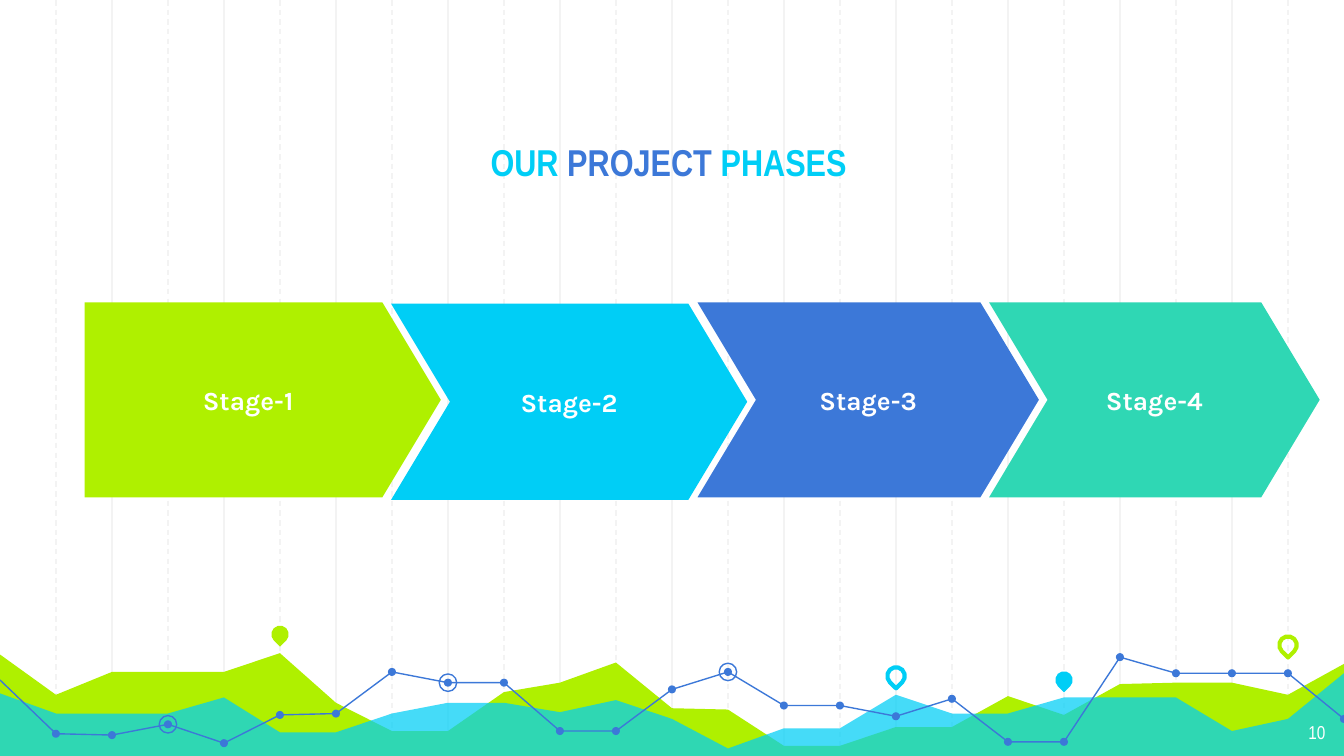
from lxml.etree import SubElement
from pptx import Presentation
from pptx.dml.color import RGBColor
from pptx.enum.dml import MSO_LINE
from pptx.enum.shapes import MSO_CONNECTOR, MSO_SHAPE
from pptx.enum.text import MSO_ANCHOR, PP_ALIGN
from pptx.oxml.ns import qn
from pptx.util import Inches, Pt

THEME = {
    "lime": "AFF000", "cyan": "00CEF6", "blue": "3C78D8", "teal": "2FD7B4",
    "grid": "F3F3F3", "white": "FFFFFF",
    "narrow": "Arial Narrow", "label": "Karla",
    "title_size": 20, "stage_size": 14, "number_size": 10,
    "thin": 0.75, "thick": 2.25,
}
TITLE = [("OUR ", "cyan"), ("PROJECT ", "blue"), ("PHASES", "cyan")]
STAGES = [
    ("Stage-1", MSO_SHAPE.PENTAGON, "lime", (0.63, 2.25, 2.65, 1.45)),
    ("Stage-2", MSO_SHAPE.CHEVRON, "cyan", (2.91, 2.26, 2.65, 1.46)),
    ("Stage-3", MSO_SHAPE.CHEVRON, "blue", (5.19, 2.25, 2.54, 1.45)),
    ("Stage-4", MSO_SHAPE.CHEVRON, "teal", (7.36, 2.25, 2.46, 1.45)),
]
AREAS = [
    ("lime", 100, [4.87, 5.17, 5, 5, 5, 4.86, 5.23, 5.44, 5.44, 5.15, 5.08, 4.93, 5.27,
                   5.28, 5.55, 5.55, 5.41, 5.41, 5.18, 5.32, 5.09, 5.08, 5.08, 5.17, 4.94]),
    ("cyan", 73, [5.16, 5.31, 5.31, 5.31, 5.19, 5.45, 5.45, 5.31, 5.23, 5.23, 5.3, 5.21, 5.35,
                  5.57, 5.42, 5.42, 5.17, 5.31, 5.31, 5.19, 5.19, 5.19, 5.44, 5.35, 5.01]),
]
TREND = [5.06, 5.46, 5.47, 5.39, 5.53, 5.32, 5.31, 5, 5.08, 5.08, 5.44, 5.44, 5.13,
         5, 5.25, 5.25, 5.33, 5.2, 5.52, 5.52, 4.89, 5.01, 5.01, 5.01, 5.35]
TREND_PARTS = [(0, 11), (11, 20), (20, 24)]
RINGED = [3, 8, 13]
PINS = [(5, 4.72, "lime", True), (16, 5.03, "cyan", False),
        (19, 5.06, "cyan", True), (23, 4.8, "lime", False)]
WIDTH, HEIGHT, FLOOR = 10, 5.625, 5.64
STEP = WIDTH / 24
DOT, MARK = 0.06, 0.13


def color(name):
    return RGBColor.from_string(THEME[name])


def paint(shape, fill=None, line=None, weight=THEME["thin"], opacity=100):
    shape.shadow.inherit = False
    if fill:
        shape.fill.solid()
        shape.fill.fore_color.rgb = color(fill)
        if opacity < 100:
            tint = shape.fill._xPr.find(qn("a:solidFill"))[0]
            SubElement(tint, qn("a:alpha"), val=str(opacity * 1000))
    else:
        shape.fill.background()
    if line:
        shape.line.color.rgb = color(line)
        shape.line.width = Pt(weight)
    else:
        shape.line.fill.background()


def add_grid_line(page, column):
    x = Inches(column * STEP)
    line = page.shapes.add_connector(MSO_CONNECTOR.STRAIGHT, x, 0, x, Inches(HEIGHT))
    line.line.color.rgb = color("grid")
    line.line.width = Pt(THEME["thin"])
    if column % 2:
        line.line.dash_style = MSO_LINE.DASH
    SubElement(line._element.spPr, qn("a:effectLst"))


def add_outline(page, points, close):
    points = [(Inches(x), Inches(y)) for x, y in points]
    builder = page.shapes.build_freeform(*points[0])
    builder.add_line_segments(points[1:], close=close)
    return builder.convert_to_shape()


def add_mark(page, kind, column, y, size):
    left, top = column * STEP - size / 2, y - size / 2
    return page.shapes.add_shape(kind, Inches(left), Inches(top), Inches(size), Inches(size))


def write(shape, runs, font, size, bold, align, anchor):
    frame = shape.text_frame
    frame.word_wrap = True
    frame.vertical_anchor = anchor
    frame.margin_left = frame.margin_right = Inches(0.1)
    frame.margin_top = frame.margin_bottom = Inches(0.1)
    para = frame.paragraphs[0]
    para.alignment = align
    for text, tone in runs:
        span = para.add_run()
        span.text = text
        span.font.name = THEME[font]
        span.font.size = Pt(THEME[size])
        span.font.bold = bold
        span.font.color.rgb = color(tone)


def add_landscape(page):
    for column in [*range(2, 24, 2), *range(1, 24, 2)]:
        add_grid_line(page, column)
    for tone, opacity, heights in AREAS:
        ridge = [(column * STEP, y) for column, y in enumerate(heights)]
        area = add_outline(page, ridge + [(WIDTH, FLOOR), (0, FLOOR)], True)
        paint(area, fill=tone, opacity=opacity)
    trend = [(column * STEP, y) for column, y in enumerate(TREND)]
    for first, last in TREND_PARTS:
        paint(add_outline(page, trend[first:last + 1], False), line="blue")
    for column, y in enumerate(TREND[1:], 1):
        paint(add_mark(page, MSO_SHAPE.OVAL, column, y, DOT), fill="blue")
    for column in RINGED:
        paint(add_mark(page, MSO_SHAPE.OVAL, column, TREND[column], MARK), line="blue")
    for column, y, tone, solid in PINS:
        pin = add_mark(page, MSO_SHAPE.TEAR, column, y, MARK)
        pin.rotation = 135
        if solid:
            paint(pin, fill=tone)
        else:
            paint(pin, line=tone, weight=THEME["thick"])


def main():
    """Build the project phases slide."""
    deck = Presentation()
    deck.slide_width, deck.slide_height = Inches(WIDTH), Inches(HEIGHT)
    page = deck.slides.add_slide(deck.slide_layouts[6])
    add_landscape(page)
    title = page.shapes.add_textbox(Inches(1.15), Inches(0.69), Inches(7.65), Inches(0.78))
    write(title, TITLE, "narrow", "title_size", True, PP_ALIGN.CENTER, MSO_ANCHOR.BOTTOM)
    for text, kind, tone, place in STAGES:
        stage = page.shapes.add_shape(kind, *map(Inches, place))
        stage.adjustments[0] = 0.3
        paint(stage, fill=tone)
        write(stage, [(text, "white")], "label", "stage_size", True,
              PP_ALIGN.CENTER, MSO_ANCHOR.MIDDLE)
    number = page.shapes.add_textbox(Inches(9.36), Inches(5.28), Inches(0.6), Inches(0.35))
    write(number, [("10", "white")], "narrow", "number_size", False,
          PP_ALIGN.RIGHT, MSO_ANCHOR.TOP)
    deck.save("out.pptx")


if __name__ == "__main__":
    main()
